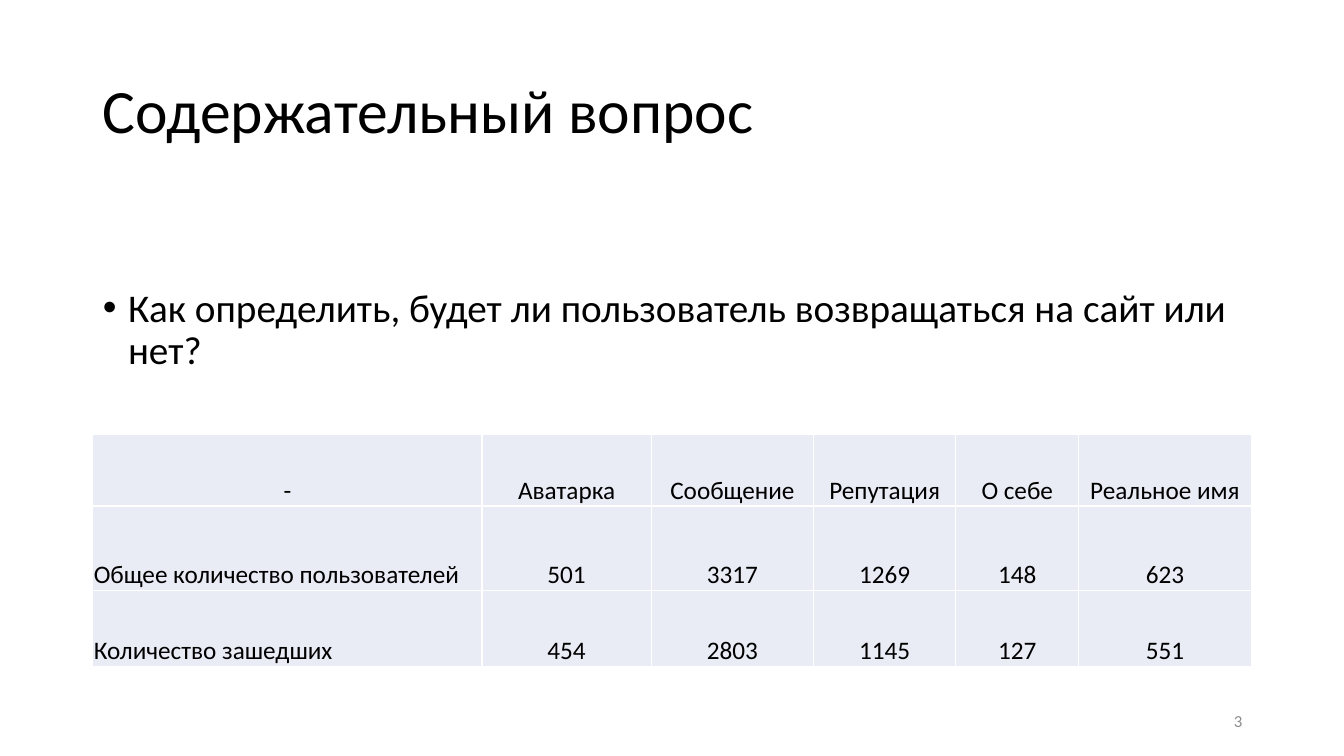
from dataclasses import dataclass

import pptx
import pptx.dml.color
import pptx.enum.text
import pptx.oxml.ns
import pptx.util
from lxml import etree

Inches = pptx.util.Inches
Align = pptx.enum.text.PP_ALIGN
Anchor = pptx.enum.text.MSO_ANCHOR

FONT = "Calibri"
BLACK, GREY, WHITE, CELL_FILL = "000000", "8C8C8C", "FFFFFF", "E9EBF5"
LEFT, WIDTH = 0.92, 11.5


@dataclass(frozen=True)
class TextBlock:
    text: str
    box: tuple[float, float, float, float]
    size: float
    anchor: Anchor
    align: Align = Align.LEFT
    color: str = BLACK
    line_spacing: float = 1.0
    space_before: float = 0


@dataclass(frozen=True)
class TableRow:
    height: float
    texts: tuple[str, ...]
    first_align: Align = Align.LEFT


TITLE = TextBlock("Содержательный вопрос", (LEFT, 0.4, WIDTH, 1.45), 44,
                  Anchor.MIDDLE, line_spacing=0.9)
QUESTION = TextBlock(
    "Как определить, будет ли пользователь возвращаться на сайт или нет?",
    (LEFT, 2.81, WIDTH, 1.23), 28, Anchor.TOP, line_spacing=0.9, space_before=10)
PAGE_NUMBER = TextBlock("3", (9.42, 6.95, 3, 0.4), 12, Anchor.MIDDLE, Align.RIGHT, GREY)

COLUMN_WIDTHS = (3.86, 1.68, 1.61, 1.41, 1.22, 1.71)
ROWS = (
    TableRow(0.71, ("-", "Аватарка", "Сообщение", "Репутация", "О себе", "Реальное имя"),
             Align.CENTER),
    TableRow(0.84, ("Общее количество пользователей", "501", "3317", "1269", "148", "623")),
    TableRow(0.75, ("Количество зашедших", "454", "2803", "1145", "127", "551")),
)


def rgb(color: str) -> pptx.dml.color.RGBColor:
    return pptx.dml.color.RGBColor.from_string(color)


def add_run(paragraph, text: str, size: float, color: str) -> None:
    run = paragraph.add_run()
    run.text = text
    run.font.name = FONT
    run.font.size = pptx.util.Pt(size)
    run.font.color.rgb = rgb(color)


def fill_text(shape, block: TextBlock) -> None:
    shape.left, shape.top, shape.width, shape.height = map(Inches, block.box)
    frame = shape.text_frame
    frame.word_wrap = True
    frame.auto_size = pptx.enum.text.MSO_AUTO_SIZE.NONE
    frame.vertical_anchor = block.anchor
    paragraph = frame.paragraphs[0]
    paragraph.alignment = block.align
    paragraph.line_spacing = block.line_spacing
    paragraph.space_before = pptx.util.Pt(block.space_before)
    add_run(paragraph, block.text, block.size, block.color)


def add_bullet(paragraph, indent: float) -> None:
    properties = paragraph._p.get_or_add_pPr()
    properties.set("marL", str(Inches(indent)))
    properties.set("indent", str(-Inches(indent)))
    etree.SubElement(properties, pptx.oxml.ns.qn("a:buFont"), typeface="Arial")
    etree.SubElement(properties, pptx.oxml.ns.qn("a:buChar"), char="•")


def add_borders(cell, color: str, width: float) -> None:
    qn = pptx.oxml.ns.qn
    properties = cell._tc.get_or_add_tcPr()
    for side in ("lnL", "lnR", "lnT", "lnB"):
        line = etree.SubElement(properties, qn(f"a:{side}"), w=str(pptx.util.Pt(width)))
        solid = etree.SubElement(line, qn("a:solidFill"))
        etree.SubElement(solid, qn("a:srgbClr"), val=color)


def fill_cell(cell, text: str, align: Align) -> None:
    add_borders(cell, WHITE, 1)
    cell.fill.solid()
    cell.fill.fore_color.rgb = rgb(CELL_FILL)
    cell.vertical_anchor = Anchor.BOTTOM
    cell.margin_left = cell.margin_right = cell.margin_top = Inches(0.01)
    cell.margin_bottom = 0
    paragraph = cell.text_frame.paragraphs[0]
    paragraph.alignment = align
    add_run(paragraph, text, 18, BLACK)


def add_user_table(slide) -> None:
    height = sum(row.height for row in ROWS)
    table = slide.shapes.add_table(
        len(ROWS), len(COLUMN_WIDTHS),
        Inches(LEFT), Inches(4.31), Inches(WIDTH), Inches(height)).table
    table.first_row = table.horz_banding = False
    for column, width in zip(table.columns, COLUMN_WIDTHS):
        column.width = Inches(width)
    for row_index, row in enumerate(ROWS):
        table.rows[row_index].height = Inches(row.height)
        for column_index, text in enumerate(row.texts):
            align = Align.CENTER if column_index else row.first_align
            fill_cell(table.cell(row_index, column_index), text, align)


def main() -> None:
    presentation = pptx.Presentation()
    presentation.slide_width = Inches(13.33)
    presentation.slide_height = Inches(7.5)
    slide = presentation.slides.add_slide(presentation.slide_layouts[1])

    # Title and question
    fill_text(slide.shapes.title, TITLE)
    body = slide.placeholders[1]
    fill_text(body, QUESTION)
    add_bullet(body.text_frame.paragraphs[0], 0.25)

    # Slide number
    page_box = slide.shapes.add_textbox(*map(Inches, PAGE_NUMBER.box))
    fill_text(page_box, PAGE_NUMBER)

    # User counts
    add_user_table(slide)

    presentation.save("out.pptx")


if __name__ == "__main__":
    main()
